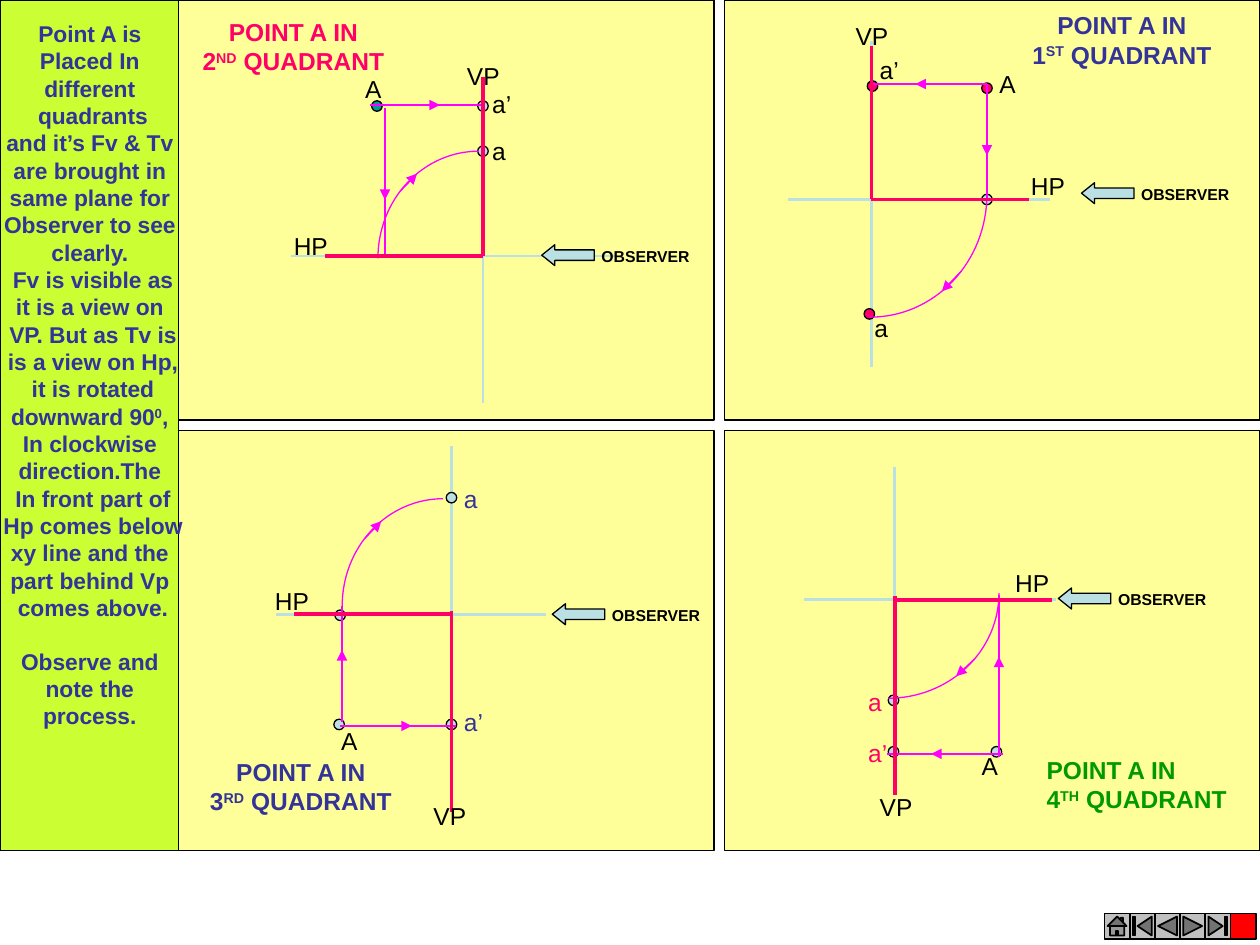
from math import cos, sin, pi
from lxml.etree import SubElement
from pptx import Presentation
from pptx.dml.color import RGBColor
from pptx.enum.shapes import MSO_CONNECTOR, MSO_SHAPE
from pptx.enum.text import MSO_AUTO_SIZE, PP_ALIGN
from pptx.oxml.ns import qn
from pptx.util import Inches, Pt

COLS, ROWS = 120, 90
CELL = Inches(10) / COLS
BLACK, NAVY, ROSE, GREEN = "000000", "333399", "FF0066", "009900"
PALE, MAGENTA, TEAL = "BBE0E3", "FF00FF", "009999"
LABEL_WIDTHS = {"HP": 6, "VP": 5.8, "a’": 4.2, "a": 3.7, "A": 4}

SIDEBAR = [
    "Point A is ", "Placed In ", "different ", "quadrants", "and it’s Fv & Tv ",
    "are brought in ", "same plane for ", "Observer to see ", "clearly. ",
    "Fv is visible as", "it is a view on ", "VP. But as Tv is",
    " is a view on Hp, ", "it is rotated", "downward 90^0^, ", "In clockwise ",
    "direction.The ", "In front part of", " Hp comes below ", "xy line and the ",
    "part behind Vp ", "comes above.", "Observe and ", "note the ", "process. ",
]

QUADRANTS = [
    dict(panel=(69, 0), origin=(83, 19), xy=(-8, 17), vertical=(-15.1, 16),
         hp=15, vp=(-14.6, 0), observer=(20, -1.6),
         dots=[(11, -10.6, ROSE), (0.1, -10.8, ROSE), (11, 0, PALE), (-0.2, 10.9, ROSE)],
         projectors=[((11, -11), (0, -11)), ((11, -11), (11, 0))],
         arc=((11, -0.5), (-0.1, 11.2)), note=BLACK,
         labels={"HP": (14, -3.3), "VP": (-2.7, -17.6), "a’": (-0.4, -14.4),
                 "a": (-0.9, 10.2), "A": (11, -13)},
         title=("1^ST^ QUADRANT", (14, -18.6), 19.7, NAVY, PP_ALIGN.CENTER)),
    dict(panel=(17, 0), origin=(46, 24.4), xy=(-18.3, 12.8), vertical=(-17.1, 14),
         hp=-15, vp=(-17.1, 0), observer=(5.6, -1.1),
         dots=[(-10.1, -14.3, TEAL), (0, -10, PALE), (0, -14.3, PALE)],
         projectors=[((-9.33, -14.1), (-9.33, 0)), ((-10.8, -14.4), (0, -14.4))],
         arc=((-10, 0.2), (-0.4, -10)), note=BLACK,
         labels={"HP": (-19.2, -3), "VP": (-2.7, -19.2), "a’": (-0.3, -16.5),
                 "a": (-0.3, -12), "A": (-12.4, -17.9)},
         title=("2^ND^ QUADRANT", (-28, -23.4), 19.9, ROSE, PP_ALIGN.CENTER)),
    dict(panel=(17, 41), origin=(43, 58.5), xy=(-16.7, 9), vertical=(-16, 14.9),
         hp=-15, vp=(-0.3, 18.8), observer=(9.6, -1),
         dots=[(-10.7, 10.5, PALE), (0, 10.5, PALE), (-10.6, 0.1, PALE), (0, -11.1, PALE)],
         projectors=[((-10.43, 10.3), (-10.43, -0.8)), ((-10.6, 10.64), (0.4, 10.64))],
         arc=((-10.4, -0.8), (-0.8, -11)), note=NAVY,
         labels={"HP": (-18, -3.3), "VP": (-2.9, 17.2), "a’": (0, 8.2),
                 "a": (0, -13), "A": (-11.7, 10.1)},
         title=("3^RD^ QUADRANT", (-24.6, 13), 20.5, NAVY, PP_ALIGN.CENTER)),
    dict(panel=(69, 41), origin=(85.2, 57.1), xy=(-8.6, 15.4), vertical=(-12.6, 18.4),
         hp=15, vp=(-0.3, 18.6), observer=(15.6, -1.1),
         dots=[(9.7, 14.5, PALE), (-0.1, 9.6, PALE), (-0.1, 14.5, PALE)],
         projectors=[((9.94, 15), (9.94, -0.4)), ((10.3, 14.7), (-0.7, 14.7))],
         arc=((9.94, -0.6), (-0.6, 9.4)), note=ROSE,
         labels={"HP": (10.3, -3.6), "VP": (-2.6, 17.7), "a’": (-3.7, 12.6),
                 "a": (-3.7, 7.7), "A": (7.1, 13.8)},
         title=("4^TH^ QUADRANT", (13.3, 14.2), 20.4, GREEN, PP_ALIGN.LEFT)),
]

BUTTONS = [MSO_SHAPE.ACTION_BUTTON_HOME, MSO_SHAPE.ACTION_BUTTON_BEGINNING,
           MSO_SHAPE.ACTION_BUTTON_BACK_OR_PREVIOUS,
           MSO_SHAPE.ACTION_BUTTON_FORWARD_OR_NEXT,
           MSO_SHAPE.ACTION_BUTTON_END, MSO_SHAPE.ACTION_BUTTON_CUSTOM]


def grid(*values):
    return [round(v * CELL) for v in values]


def color(value):
    return RGBColor.from_string(value)


def apply(obj, values):
    for name, value in values.items():
        setattr(obj, name, value)


def stroke(line, value, width):
    line.color.rgb = color(value)
    line.width = Pt(width)


def add_box(s, kind, x, y, w, h, fill, width=0.75):
    sp = s.shapes.add_shape(kind, *grid(x, y, w, h))
    sp.shadow.inherit = False
    sp.fill.solid()
    sp.fill.fore_color.rgb = color(fill)
    stroke(sp.line, BLACK, width)
    return sp


def add_line(s, start, end, value, width=0.75, arrow=False):
    sp = s.shapes.add_connector(MSO_CONNECTOR.STRAIGHT, *grid(*start, *end))
    stroke(sp.line, value, width)
    if arrow:
        SubElement(sp.line._get_or_add_ln(), qn("a:tailEnd"), type="triangle")
    SubElement(sp._element.spPr, qn("a:effectLst"))


def add_text(s, x, y, w, h, lines, size, value, bold=False, align=PP_ALIGN.LEFT):
    tf = s.shapes.add_textbox(*grid(x, y, w, h)).text_frame
    apply(tf, dict(word_wrap=False, auto_size=MSO_AUTO_SIZE.SHAPE_TO_FIT_TEXT))
    for i, line in enumerate(lines):
        p = tf.paragraphs[0] if i == 0 else tf.add_paragraph()
        p.alignment = align
        for n, part in enumerate(line.split("^")):
            r = p.add_run()
            r.text = part
            apply(r.font, dict(name="Arial", size=Pt(size), bold=bold))
            r.font.color.rgb = color(value)
            if n % 2:
                r._r.get_or_add_rPr().set("baseline", "30000")
    return tf


def add_projector(s, start, end):
    def at(share):
        return [a + (b - a) * share for a, b in zip(start, end)]

    add_line(s, start, end, MAGENTA)
    add_line(s, at(0.35), at(0.62), MAGENTA, arrow=True)


def add_arc(s, start, end, steps=32):
    def at(share):
        angle = share * pi / 2
        return (end[0] + (start[0] - end[0]) * cos(angle),
                start[1] + (end[1] - start[1]) * sin(angle))

    points = [grid(*at(i / steps)) for i in range(steps + 1)]
    builder = s.shapes.build_freeform(*points[0])
    builder.add_line_segments(points[1:], close=False)
    sp = builder.convert_to_shape()
    sp.shadow.inherit = False
    sp.fill.background()
    stroke(sp.line, MAGENTA, 0.75)
    add_line(s, at(0.43), at(0.58), MAGENTA, arrow=True)


def add_observer(s, x, y):
    sp = add_box(s, MSO_SHAPE.LEFT_ARROW, x, y, 5, 2, PALE)
    sp.adjustments[0], sp.adjustments[1] = 0.5, 0.625
    add_text(s, x + 4.5, y - 0.4, 10.8, 3, ["OBSERVER"], 9, BLACK, True)


def add_quadrant(s, q):
    def at(point):
        return q["origin"][0] + point[0], q["origin"][1] + point[1]

    add_box(s, MSO_SHAPE.RECTANGLE, *q["panel"], 51, 40, "FFFF99")
    add_line(s, *[at((x, 0)) for x in q["xy"]], PALE, 1.5)
    add_line(s, *[at((0, y)) for y in q["vertical"]], PALE, 1.5)
    for x, y, fill in q["dots"]:
        left, top = at((x - 0.5, y - 0.5))
        add_box(s, MSO_SHAPE.OVAL, left, top, 1, 1, fill)
    for ends in q["projectors"]:
        add_projector(s, *map(at, ends))
    add_arc(s, *map(at, q["arc"]))
    add_observer(s, *at(q["observer"]))
    add_line(s, at((0, 0)), at((q["hp"], 0)), ROSE, 2.25)
    add_line(s, *[at((0, y)) for y in q["vp"]], ROSE, 2.25)
    for name, point in q["labels"].items():
        value = q["note"] if name in ("a", "a’") else BLACK
        add_text(s, *at(point), LABEL_WIDTHS[name], 4, [name], 14, value)
    name, point, width, value, align = q["title"]
    add_text(s, *at(point), width, 6.8, ["POINT A IN", name], 14, value, True, align)


def add_sidebar(s):
    add_box(s, MSO_SHAPE.RECTANGLE, 0, 0, 17, 81, "CCFF33")
    tf = add_text(s, -1.5, 1.3, 20.7, 74.3, SIDEBAR, 13, NAVY, True, PP_ALIGN.CENTER)
    tf.paragraphs[SIDEBAR.index("Observe and ")].space_before = Pt(15)


def add_buttons(s):
    for i, kind in enumerate(BUTTONS):
        fill = "FF0000" if kind == MSO_SHAPE.ACTION_BUTTON_CUSTOM else "C0C0C0"
        add_box(s, kind, 105.2 + 2.4 * i, 87, 2.4, 2.4, fill, 1)


def main():
    prs = Presentation()
    apply(prs, dict(zip(("slide_width", "slide_height"), grid(COLS, ROWS))))
    s = prs.slides.add_slide(prs.slide_layouts[6])
    for q in QUADRANTS:
        add_quadrant(s, q)
    add_sidebar(s)
    add_buttons(s)
    prs.save("out.pptx")


if __name__ == "__main__":
    main()
